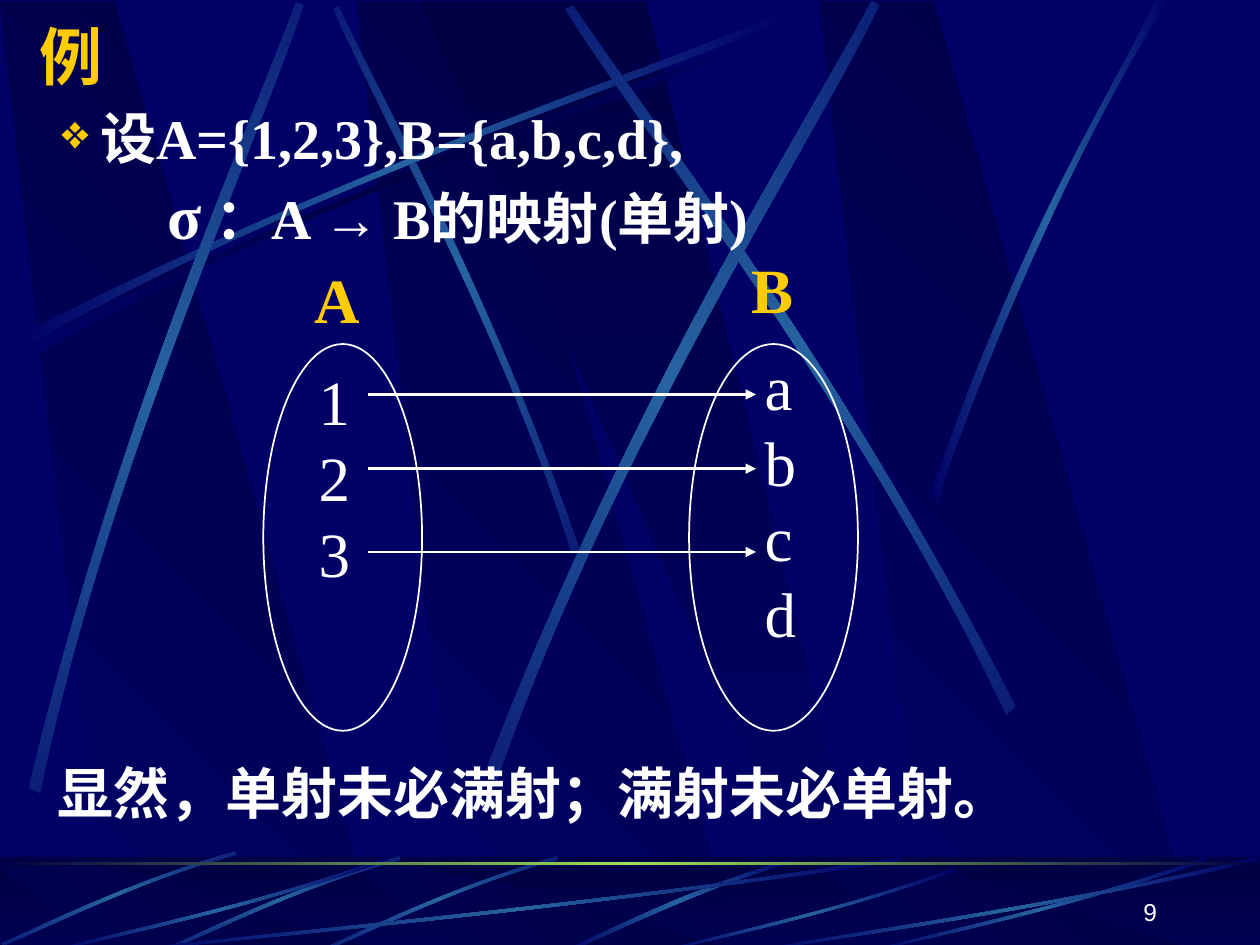
import math
from dataclasses import dataclass

import pptx
import pptx.dml.color
import pptx.enum.shapes
import pptx.enum.text
import pptx.oxml
import pptx.oxml.ns
import pptx.util

Pt = pptx.util.Pt
ALIGN = pptx.enum.text.PP_ALIGN
ANCHOR = pptx.enum.text.MSO_ANCHOR
SHAPE = pptx.enum.shapes.MSO_SHAPE
SPACE = pptx.oxml.ns.nsdecls("a")


@dataclass(frozen=True)
class Theme:
    navy: str = "000066"
    dark: str = "000044"
    streak: str = "2663A0"
    green: str = "9CE157"
    white: str = "FFFFFF"
    gold: str = "FFCC00"
    serif: str = "Times New Roman"
    sans: str = "Arial"
    large: int = 36
    body: int = 32
    small: int = 14


@dataclass(frozen=True)
class Streak:
    """Two cubic edges of four points each; turn and centre orient its gradient."""
    points: tuple
    turn: float = 0
    centre: tuple = (0, 0)
    middle: str = Theme.streak


@dataclass(frozen=True)
class Label:
    lines: tuple
    box: tuple
    format: dict


THEME = Theme()
PLAIN = {"name": THEME.serif, "size": THEME.large, "color": THEME.white, "bold": False}
HEADING = PLAIN | {"color": THEME.gold, "bold": True}
BODY = PLAIN | {"size": THEME.body, "bold": True}
NUMBER = PLAIN | {"name": THEME.sans, "size": THEME.small}

LONG = ((10.1, 192.2), (210.2, 90), (383, 36.7), (446.4, 7.2),
        (448.6, 11.5), (375.8, 43.9), (178.6, 103), (12.2, 199.4))
SHORT = ((228.2, 489.6), (165.6, 507.6), (116.6, 532.8), (94.3, 542.2),
         (95, 543.6), (117.4, 535), (172.8, 506.2), (228.2, 491.8))


def shifted(points: tuple, dx: float, dy: float = 0) -> tuple:
    return tuple((x + dx, y + dy) for x, y in points)


UPPER_STREAKS = (
    Streak(shifted(LONG, 4.3, 5.8), middle=THEME.dark),
    Streak(((331.2, 313.9), (281.5, 168.5), (217.4, 55.4), (193.7, 3.6),
            (190.8, 5), (212.4, 56.9), (286.6, 185.8), (326.9, 316.1)), 45, (260.6, 160.2)),
    Streak(LONG),
    Streak(((16.6, 450), (67, 240.5), (141.8, 75.6), (169.2, 1.4),
            (173.5, 2.9), (149, 78.5), (61.9, 265), (23, 452.9)), 311.7, (95.8, 227.2)),
    Streak(((277.2, 442.1), (358.6, 230.4), (459.4, 73.4), (498.2, 0.7),
            (502.6, 2.9), (467.3, 77.8), (349.9, 255.6), (283.7, 447.1)), 321.6, (391, 223.6)),
    Streak(((580.3, 403.2), (482.4, 211), (371.5, 68.4), (327.6, 2.9),
            (323.3, 5), (365, 72.7), (493.2, 234), (575.3, 408.2)), 34.7, (451.4, 205.6)),
    Streak(((531.4, 283.7), (586.1, 124.6), (639.4, 47.5), (660.2, 0),
            (667.4, 0), (601.9, 104.4), (553.7, 231.8), (535.7, 285.8))),
)
LOWER_STREAKS = (
    Streak(((451.4, 491), (386.6, 510.5), (343.4, 534.2), (322.6, 542.9),
            (326.2, 543.6), (352.8, 531.4), (411.1, 504), (452.2, 493.2))),
    Streak(shifted(SHORT, 90), 315, (252, 516.6)),
    Streak(SHORT, 315, (162, 516.6)),
    Streak(shifted(SHORT, -93.6, -3), 315, (68.4, 513.7)),
)
# Left, right, top and end thickness of the flat streaks along the footer
FLAT_STREAKS = ((72, 516.2, 489.6, 2.2), (30.2, 221.8, 489.6, 0.9),
                (379.4, 545.8, 496.1, 0.9), (498.2, 690, 489.6, 0.9),
                (432, 720, 489.6, 1.5))

LABELS = (
    Label(("1", "2", "3"), (175, 203.8, 32.4, 136.8), PLAIN),
    Label(("a", "b", "c", "d"), (429.8, 195.1, 32.4, 180), PLAIN),
    Label(("A",), (172.8, 145.4, 40.3, 50.4), HEADING),
    Label(("B",), (422.6, 139.7, 38.2, 50.4), HEADING),
)
ARROW_ROWS = (225.4, 267.8, 315.4)
ELLIPSES = ((150.5, 196.6, 90.7, 221), (393.8, 196.6, 96.5, 221))


def rgb(value: str):
    return pptx.dml.color.RGBColor.from_string(value)


def set_font(font, values: dict) -> None:
    for key, value in values.items():
        if key == "color":
            font.color.rgb = rgb(value)
        else:
            setattr(font, key, Pt(value) if key == "size" else value)


def fill_gradient(shape, colours: tuple, angle: float) -> None:
    """Spread the colours evenly; the angle is clockwise."""
    shape.fill.background()
    stops = "".join(
        f'<a:gs pos="{round(100000 * i / (len(colours) - 1))}"><a:srgbClr val="{colour}"/></a:gs>'
        for i, colour in enumerate(colours))
    gradient = pptx.oxml.parse_xml(
        f'<a:gradFill {SPACE} rotWithShape="1"><a:gsLst>{stops}</a:gsLst>'
        f'<a:lin ang="{angle * 60000}" scaled="0"/></a:gradFill>')
    properties = shape.element.spPr
    properties.replace(properties.find(pptx.oxml.ns.qn("a:noFill")), gradient)


def add_backdrop(page, shape) -> None:
    """Strip a decoration's outline and move it to the layout, behind all content."""
    shape.shadow.inherit = False
    shape.line.fill.background()
    page.slide_layout.shapes.element.append(shape.element)


def add_outline(page, points: list):
    builder = page.shapes.build_freeform(Pt(points[0][0]), Pt(points[0][1]), scale=1.0)
    builder.add_line_segments([(Pt(x), Pt(y)) for x, y in points[1:]], close=True)
    return builder.convert_to_shape()


def bend_edges(shape) -> None:
    """Turn each edge of three segments into one cubic curve."""
    segments = list(shape.element.spPr.iter(pptx.oxml.ns.qn("a:lnTo")))
    for first in (0, 4):
        bend = pptx.oxml.parse_xml(f"<a:cubicBezTo {SPACE}/>")
        segments[first].addprevious(bend)
        for segment in segments[first:first + 3]:
            bend.append(segment[0])
            segment.getparent().remove(segment)


def add_streak(page, streak: Streak) -> None:
    cx, cy = streak.centre
    cos, sin = math.cos(math.radians(streak.turn)), math.sin(math.radians(streak.turn))
    level = [(cx + (x - cx) * cos + (y - cy) * sin, cy - (x - cx) * sin + (y - cy) * cos)
             for x, y in streak.points]
    shape = add_outline(page, level)
    bend_edges(shape)
    shape.rotation = streak.turn
    fill_gradient(shape, (THEME.navy, streak.middle, THEME.navy), 0)
    add_backdrop(page, shape)


def add_flat_streak(page, left: float, right: float, top: float, tip: float) -> None:
    width, height = right - left, 543.6 - top
    edges = ((1, .04), (.566, .573), (.172, .853), (.005, 1),
             (0, .987), (.165, .813), (.615, .507), (1, 0))
    points = [(left + x * width, top + y * height) for x, y in edges]
    points[-1] = (right - tip, top)
    add_streak(page, Streak(tuple(points)))


def add_shards(page, top: float, bottom: float) -> None:
    falling = [[(left + 61.9, bottom), (left + 217.4, bottom), (left + 65.5, top), (left, top)]
               for left in (203.8, 0, 468)]
    leaning = [(239.8, top), (473.8, bottom), (499.7, bottom), (369.4, top)]
    for points in (*falling, leaning):
        shard = add_outline(page, points)
        if points is leaning:
            fill_gradient(shard, (THEME.dark, THEME.navy), 90)
        else:
            fill_gradient(shard, (THEME.navy, THEME.dark), 315)
        add_backdrop(page, shard)


def add_band(page, top: float, height: float):
    band = page.shapes.add_shape(SHAPE.RECTANGLE, 0, Pt(top), Pt(720), Pt(height))
    add_backdrop(page, band)
    return band


def add_text(page, box: tuple, lines: tuple, values: dict, wrap: bool = False):
    frame = page.shapes.add_textbox(*map(Pt, box)).text_frame
    frame.word_wrap = wrap
    for i, line in enumerate(lines):
        para = frame.paragraphs[0] if i == 0 else frame.add_paragraph()
        span = para.add_run()
        span.text = line
        set_font(span.font, values)
    return frame


def add_body(page) -> None:
    lines = ("设A={1,2,3},B={a,b,c,d},", "σ", "显然，单射未必满射；满射未必单射。")
    frame = add_text(page, (25.7, 59.7, 681.8, 445.7), lines, BODY, wrap=True)
    first, mapping, conclusion = frame.paragraphs
    for para, gap in ((first, 0), (mapping, 7.9), (conclusion, 293)):
        para.alignment, para.line_spacing, para.space_before = ALIGN.JUSTIFY, 0.9, Pt(gap)
    properties = first._p.get_or_add_pPr()
    properties.set("marL", str(Pt(24.5)))
    properties.set("indent", str(Pt(-22)))
    for tag in (f'buClr {SPACE}><a:srgbClr val="{THEME.gold}"/></a:buClr',
                f'buSzPct {SPACE} val="85000"/',
                f'buChar {SPACE} char="❖"/'):
        properties.append(pptx.oxml.parse_xml(f"<a:{tag}>"))
    mapping._p.get_or_add_pPr().set("marL", str(Pt(63)))
    mapping.runs[0].font.size = Pt(THEME.large)
    span = mapping.add_run()
    span.text = " ：A → B的映射(单射)"
    set_font(span.font, BODY)


def add_arrow(page, y: float) -> None:
    arrow = page.shapes.add_connector(
        pptx.enum.shapes.MSO_CONNECTOR.STRAIGHT, Pt(210.2), Pt(y), Pt(432), Pt(y))
    arrow.line.color.rgb, arrow.line.width = rgb(THEME.white), Pt(1.5)
    properties = arrow.element.spPr
    properties.find(pptx.oxml.ns.qn("a:ln")).append(
        pptx.oxml.parse_xml(f'<a:tailEnd {SPACE} type="triangle"/>'))
    properties.append(pptx.oxml.parse_xml(f"<a:effectLst {SPACE}/>"))


def main() -> None:
    deck = pptx.Presentation()
    deck.slide_width, deck.slide_height = Pt(720), Pt(540)
    page = deck.slides.add_slide(deck.slide_layouts[5])
    page.background.fill.solid()
    page.background.fill.fore_color.rgb = rgb(THEME.navy)

    # Backdrop: shards and streaks above, footer band below
    add_shards(page, 0.7, 541.4)
    for streak in UPPER_STREAKS:
        add_streak(page, streak)
    fill_gradient(add_band(page, 489.6, 54), (THEME.dark, THEME.navy), 90)
    add_shards(page, 495.4, 543.6)
    veil = add_band(page, 489.6, 54)
    veil.fill.solid()
    veil.fill.fore_color.rgb = rgb(THEME.dark)
    veil.element.spPr.find(".//" + pptx.oxml.ns.qn("a:srgbClr")).append(
        pptx.oxml.parse_xml(f'<a:alpha {SPACE} val="50000"/>'))
    for streak in LOWER_STREAKS:
        add_streak(page, streak)
    for flat in FLAT_STREAKS:
        add_flat_streak(page, *flat)
    fill_gradient(add_band(page, 492.4, 1.75), (THEME.dark, THEME.green, THEME.dark), 0)

    # Title and text
    title = page.shapes.title
    title.left, title.top, title.width, title.height = map(Pt, (15.1, 6.1, 694.1, 51.1))
    title.text_frame.text = "例"
    title.text_frame.vertical_anchor = ANCHOR.MIDDLE
    title.text_frame.paragraphs[0].alignment = ALIGN.LEFT
    set_font(title.text_frame.paragraphs[0].runs[0].font, HEADING)
    add_body(page)

    # Mapping diagram
    for label in LABELS:
        add_text(page, label.box, label.lines, label.format)
    for y in ARROW_ROWS:
        add_arrow(page, y)
    for box in ELLIPSES:
        ellipse = page.shapes.add_shape(SHAPE.OVAL, *map(Pt, box))
        ellipse.shadow.inherit = False
        ellipse.fill.background()
        ellipse.line.color.rgb, ellipse.line.width = rgb(THEME.white), Pt(1)

    # Page number
    number = add_text(page, (518.4, 496.8, 149.8, 36), ("9",), NUMBER, wrap=True)
    number.vertical_anchor = ANCHOR.BOTTOM
    number.paragraphs[0].alignment = ALIGN.RIGHT
    deck.save("out.pptx")


if __name__ == "__main__":
    main()
